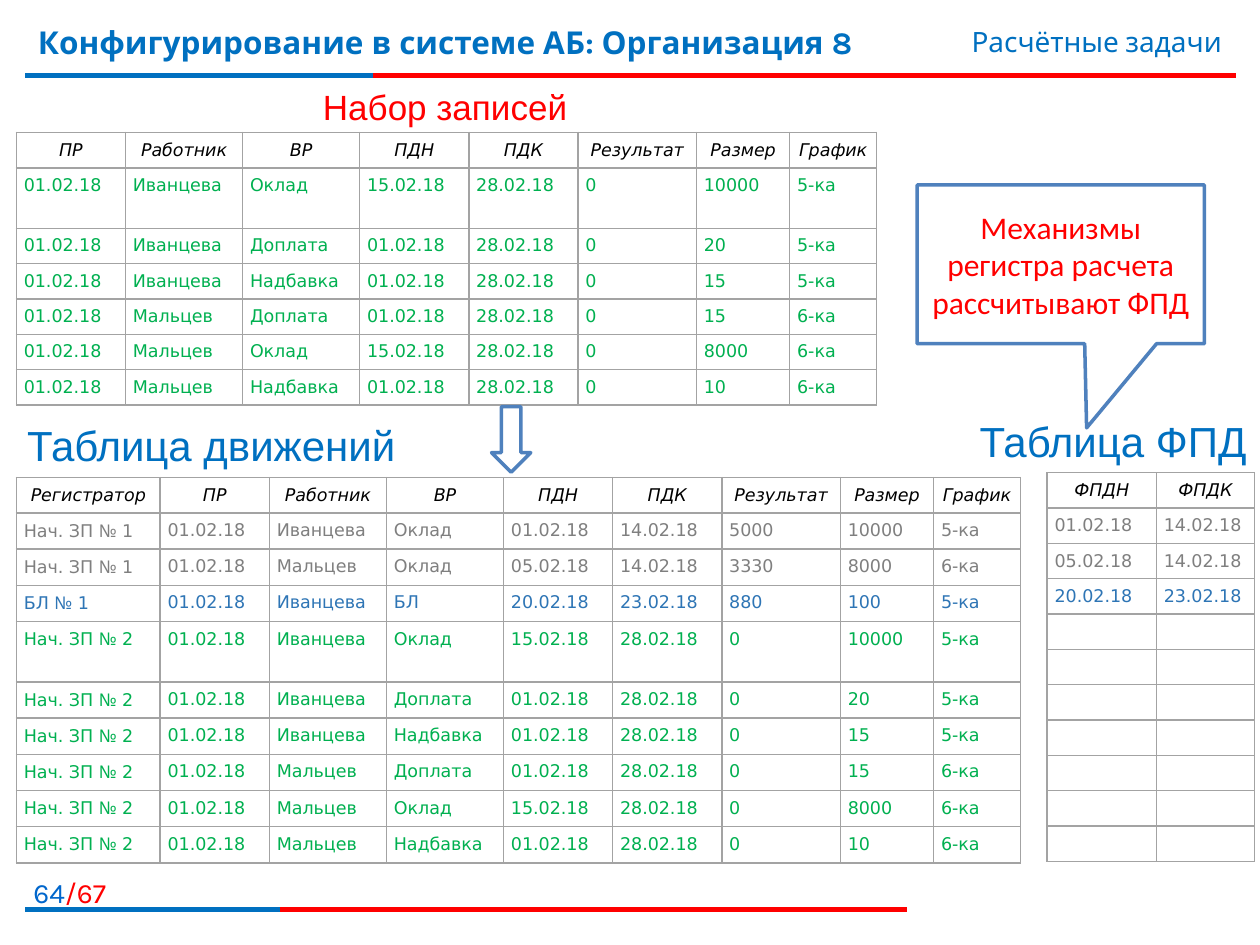
from dataclasses import dataclass

from lxml.etree import SubElement
from pptx import Presentation
from pptx.dml.color import RGBColor
from pptx.enum.shapes import MSO_CONNECTOR, MSO_SHAPE
from pptx.enum.text import MSO_ANCHOR, MSO_AUTO_SIZE, PP_ALIGN
from pptx.oxml.ns import qn
from pptx.util import Cm, Pt

BLUE = "0070C0"
RED = "FF0000"
GREEN = "00B050"
GRAY = "7F7F7F"
SICK_LEAVE_BLUE = "2E75B5"
OUTLINE = "4F81BD"
BORDER = "A3A3A3"
TABLE_FONT = "DejaVu Sans"
ROW_HEIGHT = 0.71
TALL_ROW_HEIGHT = 1.22


@dataclass
class Box:
    left: float
    top: float
    width: float
    height: float

    def lengths(self) -> tuple:
        return Cm(self.left), Cm(self.top), Cm(self.width), Cm(self.height)


@dataclass
class Style:
    font: str
    size: int
    color: str
    bold: bool = False
    italic: bool = False
    align: PP_ALIGN = PP_ALIGN.LEFT


@dataclass
class Label:
    text: str
    box: Box
    style: Style


@dataclass
class Rule:
    top: float
    right: float
    color: str


@dataclass
class Row:
    cells: tuple
    color: str
    height: float = ROW_HEIGHT


@dataclass
class Grid:
    left: float
    top: float
    widths: tuple
    headings: tuple
    rows: list


RECORD_HEADINGS = ("ПР", "Работник", "ВР", "ПДН", "ПДК", "Результат", "Размер", "График")
RECORD_WIDTHS = (2.2, 2.36, 2.36, 2.2, 2.2, 2.39, 1.88, 1.75)
RECORDS = [
    Row(("01.02.18", worker, kind, start, "28.02.18", "0", size, schedule), GREEN, height)
    for worker, kind, start, size, schedule, height in (
        ("Иванцева", "Оклад", "15.02.18", "10000", "5-ка", TALL_ROW_HEIGHT),
        ("Иванцева", "Доплата", "01.02.18", "20", "5-ка", ROW_HEIGHT),
        ("Иванцева", "Надбавка", "01.02.18", "15", "5-ка", ROW_HEIGHT),
        ("Мальцев", "Доплата", "01.02.18", "15", "6-ка", ROW_HEIGHT),
        ("Мальцев", "Оклад", "15.02.18", "8000", "6-ка", ROW_HEIGHT),
        ("Мальцев", "Надбавка", "01.02.18", "10", "6-ка", ROW_HEIGHT),
    )
]
EARLIER_MOVEMENTS = [
    Row(("Нач. ЗП № 1", "01.02.18", "Иванцева", "Оклад", "01.02.18", "14.02.18", "5000", "10000", "5-ка"), GRAY),
    Row(("Нач. ЗП № 1", "01.02.18", "Мальцев", "Оклад", "05.02.18", "14.02.18", "3330", "8000", "6-ка"), GRAY),
    Row(("БЛ № 1", "01.02.18", "Иванцева", "БЛ", "20.02.18", "23.02.18", "880", "100", "5-ка"), SICK_LEAVE_BLUE),
]
NEW_MOVEMENTS = [Row(("Нач. ЗП № 2", *record.cells), record.color, record.height) for record in RECORDS]
ACTUAL_PERIODS = [
    Row(("01.02.18", "14.02.18"), GRAY),
    Row(("05.02.18", "14.02.18"), GRAY),
    Row(("20.02.18", "23.02.18"), SICK_LEAVE_BLUE),
] + [Row(("", ""), GREEN)] * 7

GRIDS = (
    Grid(21.11, 9.53, (2.2, 1.98), ("ФПДН", "ФПДК"), ACTUAL_PERIODS),
    Grid(0.33, 2.67, RECORD_WIDTHS, RECORD_HEADINGS, RECORDS),
    Grid(0.33, 9.63, (2.9, *RECORD_WIDTHS), ("Регистратор", *RECORD_HEADINGS), EARLIER_MOVEMENTS + NEW_MOVEMENTS),
)
TITLE = Label("Конфигурирование в системе АБ: Организация 8", Box(0.51, 0.33, 18.8, 1.57),
              Style("Karla", 18, BLUE, bold=True))
LABELS = (
    Label("Расчётные задачи", Box(15.09, 0.38, 9.8, 0.94), Style("Karla", 16, BLUE, align=PP_ALIGN.RIGHT)),
    Label("Набор записей", Box(0.3, 1.6, 17.35, 1.11), Style("Arial", 20, RED, align=PP_ALIGN.CENTER)),
    Label("Таблица движений", Box(0.3, 8.33, 8.1, 1.28), Style("Arial", 24, BLUE)),
    Label("Таблица ФПД", Box(19.5, 8.25, 5.9, 1.28), Style("Arial", 24, BLUE)),
)
RULES = (Rule(1.52, 24.92, RED), Rule(1.52, 7.52, BLUE), Rule(18.34, 18.29, RED), Rule(18.34, 5.64, BLUE))


def rgb(value: str) -> RGBColor:
    return RGBColor.from_string(value)


def format_paragraph(paragraph, style: Style) -> None:
    paragraph.alignment = style.align
    font = paragraph.font
    font.name = style.font
    font.size = Pt(style.size)
    font.bold = style.bold
    font.italic = style.italic
    font.color.rgb = rgb(style.color)


def write_text(shape, text: str, style: Style, anchor: MSO_ANCHOR = MSO_ANCHOR.TOP) -> None:
    frame = shape.text_frame
    frame.word_wrap = True
    frame.auto_size = MSO_AUTO_SIZE.NONE
    frame.vertical_anchor = anchor
    frame.text = text
    format_paragraph(frame.paragraphs[0], style)


def add_label(slide, label: Label) -> None:
    write_text(slide.shapes.add_textbox(*label.box.lengths()), label.text, label.style)


def add_rule(slide, rule: Rule) -> None:
    connector = slide.shapes.add_connector(
        MSO_CONNECTOR.STRAIGHT, Cm(0.51), Cm(rule.top), Cm(rule.right), Cm(rule.top))
    connector.line.color.rgb = rgb(rule.color)
    connector.line.width = Pt(3)
    SubElement(connector.element.spPr, qn("a:effectLst"))


def add_outlined_shape(slide, preset: MSO_SHAPE, box: Box):
    shape = slide.shapes.add_shape(preset, *box.lengths())
    shape.shadow.inherit = False
    shape.fill.solid()
    shape.fill.fore_color.rgb = rgb("FFFFFF")
    shape.line.color.rgb = rgb(OUTLINE)
    shape.line.width = Pt(2)
    return shape


def add_borders(cell) -> None:
    properties = cell._tc.get_or_add_tcPr()
    for position, side in enumerate(("a:lnL", "a:lnR", "a:lnT", "a:lnB")):
        line = SubElement(properties, qn(side), w=str(Pt(1)))
        fill = SubElement(line, qn("a:solidFill"))
        SubElement(fill, qn("a:srgbClr"), val=BORDER)
        properties.insert(position, line)


def fill_cell(cell, text: str, style: Style) -> None:
    cell.margin_left = cell.margin_right = cell.margin_top = cell.margin_bottom = Cm(0.15)
    cell.fill.background()
    add_borders(cell)
    paragraph = cell.text_frame.paragraphs[0]
    format_paragraph(paragraph, style)
    before, sign, after = text.partition("№")
    for part in filter(None, (before, sign, after)):
        run = paragraph.add_run()
        run.text = part
        if part == "№":
            run.font.name = "Cabin"
    if not text:
        SubElement(paragraph._p, qn("a:endParaRPr"), sz=str(style.size * 100))


def add_grid(slide, grid: Grid) -> None:
    rows = [Row(grid.headings, "000000"), *grid.rows]
    box = Box(grid.left, grid.top, sum(grid.widths), sum(row.height for row in rows))
    table = slide.shapes.add_table(len(rows), len(grid.widths), *box.lengths()).table
    table.horz_banding = False
    table.first_row = False
    for column, width in zip(table.columns, grid.widths):
        column.width = Cm(width)
    for index, row in enumerate(rows):
        heading = index == 0
        align = PP_ALIGN.CENTER if heading else PP_ALIGN.LEFT
        style = Style(TABLE_FONT, 10, row.color, italic=heading, align=align)
        table.rows[index].height = Cm(row.height)
        for cell, text in zip(table.rows[index].cells, row.cells):
            fill_cell(cell, text, style)


def add_page_number(slide) -> None:
    box = slide.shapes.add_textbox(*Box(0, 17.53, 2.39, 0.81).lengths())
    write_text(box, "64", Style("Karla", 16, "0066CC", align=PP_ALIGN.RIGHT))
    total = box.text_frame.paragraphs[0].add_run()
    total.text = "/67"
    total.font.color.rgb = rgb(RED)


def main() -> None:
    presentation = Presentation()
    presentation.slide_width = Cm(25.4)
    presentation.slide_height = Cm(19.05)
    slide = presentation.slides.add_slide(presentation.slide_layouts[5])
    title = slide.shapes.title
    title.left, title.top, title.width, title.height = TITLE.box.lengths()
    write_text(title, TITLE.text, TITLE.style)
    for rule in RULES:
        add_rule(slide, rule)
    add_page_number(slide)
    for label in LABELS:
        add_label(slide, label)
    for grid in GRIDS:
        add_grid(slide, grid)
    add_outlined_shape(slide, MSO_SHAPE.DOWN_ARROW, Box(9.91, 8.2, 0.79, 1.32))
    callout = add_outlined_shape(slide, MSO_SHAPE.RECTANGULAR_CALLOUT, Box(18.49, 3.73, 5.79, 3.2))
    callout.adjustments[0] = 0.09
    callout.adjustments[1] = 1.03
    write_text(callout, "Механизмы регистра расчета рассчитывают ФПД",
               Style("Calibri", 18, RED, align=PP_ALIGN.CENTER), MSO_ANCHOR.MIDDLE)
    presentation.save("out.pptx")


if __name__ == "__main__":
    main()
